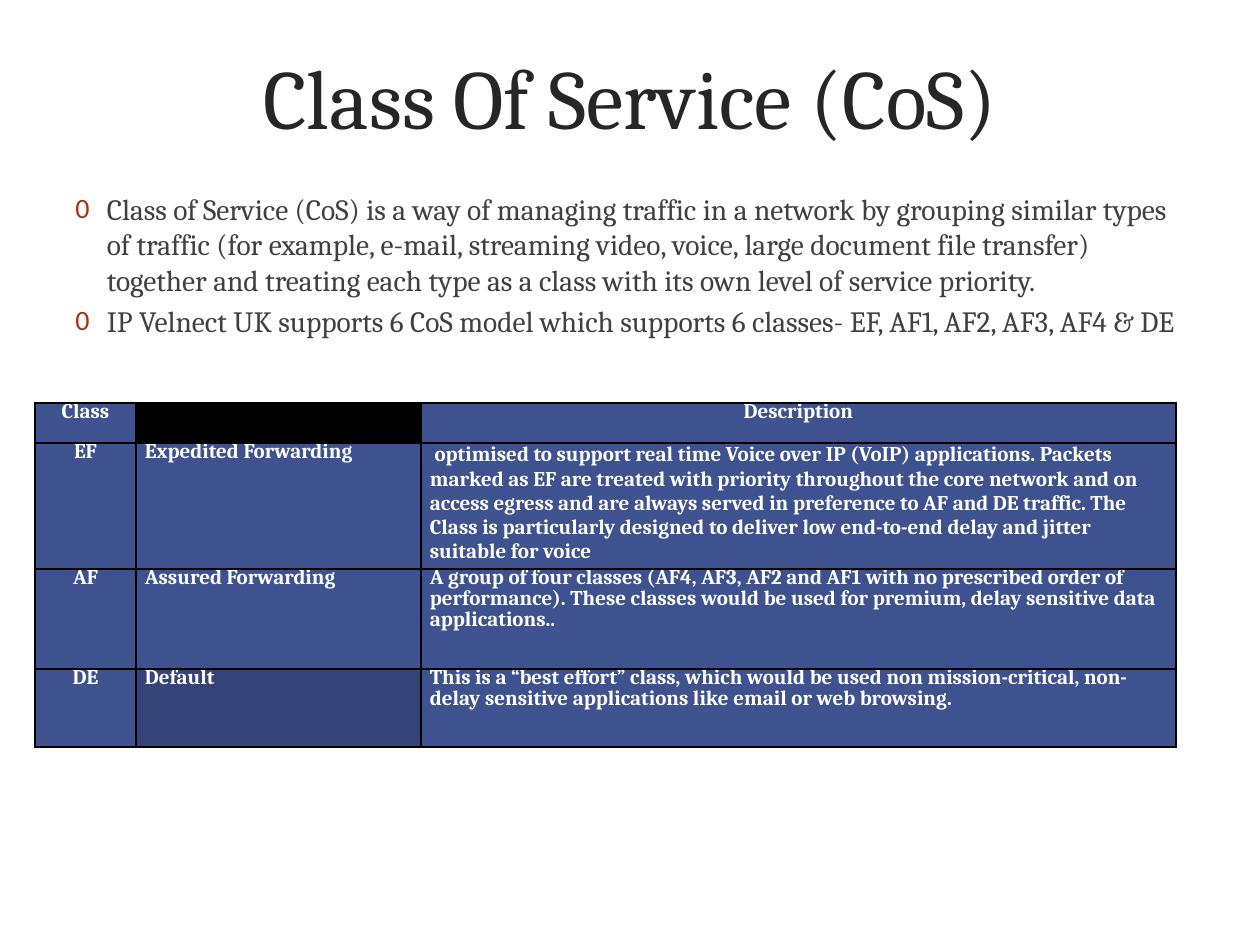
from lxml import etree
from pptx import Presentation
from pptx import util as u
from pptx.dml.color import RGBColor
from pptx.enum import text
from pptx.oxml.ns import qn

PX = 914400 // 126
FONT = "Cambria"
TITLE_INK = RGBColor(0x26, 0x26, 0x26)
BODY_INK = RGBColor(0x40, 0x40, 0x40)
WHITE = RGBColor(0xFF, 0xFF, 0xFF)
BLACK = RGBColor(0x00, 0x00, 0x00)
BLUE = RGBColor(0x3E, 0x52, 0x8F)
NAVY = RGBColor(0x34, 0x44, 0x78)
RUST = RGBColor(0xA6, 0x32, 0x12)
LEFT, CENTER = text.PP_ALIGN.LEFT, text.PP_ALIGN.CENTER


def px(length):
    return u.Emu(length * PX)


def add_node(parent, tag, **attributes):
    return etree.SubElement(parent, qn(tag), attributes)


def add_color(parent, color):
    fill = add_node(parent, "a:solidFill")
    add_node(fill, "a:srgbClr", val=str(color))


class SlideBuilder:
    def __init__(self, slide):
        self.slide = slide

    def span(self, para, words, size, color, bold=False):
        span = para.add_run()
        span.text = words
        span.font.name = FONT
        span.font.size = u.Pt(size)
        span.font.bold = bold
        span.font.color.rgb = color

    def box(self, left, top, width, height):
        box = self.slide.shapes.add_textbox(px(left), px(top), px(width), px(height))
        box.text_frame.word_wrap = True
        return box.text_frame

    def title(self, words, *place):
        frame = self.box(*place)
        frame.vertical_anchor = text.MSO_ANCHOR.MIDDLE
        para = frame.paragraphs[0]
        para.alignment = CENTER
        self.span(para, words, 48, TITLE_INK)

    def bullets(self, items, *place):
        frame = self.box(*place)
        for index, words in enumerate(items):
            para = frame.add_paragraph() if index else frame.paragraphs[0]
            para.space_before = u.Pt(3.4)
            self.bullet(para)
            self.span(para, words, 16.8, BODY_INK)

    def bullet(self, para):
        properties = para._p.get_or_add_pPr()
        indent = u.Inches(0.25)
        properties.set("marL", str(indent))
        properties.set("indent", str(-indent))
        color = add_node(properties, "a:buClr")
        add_node(color, "a:srgbClr", val=str(RUST))
        add_node(properties, "a:buSzPct", val="95000")
        add_node(properties, "a:buFont", typeface="Calibri")
        add_node(properties, "a:buChar", char="0")

    def table(self, left, top, widths, heights, rows, fills):
        frame = self.slide.shapes.add_table(
            len(rows), len(widths), px(left), px(top), px(sum(widths)), px(sum(heights)))
        table = frame.table
        for column, width in zip(table.columns, widths):
            column.width = px(width)
        for row, height in zip(table.rows, heights):
            row.height = px(height)
        for r, (words_row, fill_row) in enumerate(zip(rows, fills)):
            for c, (words, fill) in enumerate(zip(words_row, fill_row)):
                align = CENTER if r == 0 or c == 0 else LEFT
                self.cell(table.cell(r, c), words, fill, align)
        return table

    def cell(self, cell, words, fill, align):
        cell.margin_left = cell.margin_right = px(9)
        cell.margin_top = cell.margin_bottom = 0
        self.borders(cell)
        cell.fill.solid()
        cell.fill.fore_color.rgb = fill
        if words:
            para = cell.text_frame.paragraphs[0]
            para.alignment = align
            para.line_spacing = u.Pt(12)
            self.span(para, words, 12, WHITE, True)

    def borders(self, cell):
        properties = cell._tc.get_or_add_tcPr()
        for side in ("a:lnL", "a:lnR", "a:lnT", "a:lnB"):
            add_color(add_node(properties, side, w=str(u.Pt(1))), BLACK)


def main():
    deck = Presentation()
    deck.slide_width, deck.slide_height = u.Inches(10), u.Inches(7.5)
    page = SlideBuilder(deck.slides.add_slide(deck.slide_layouts[6]))
    page.title("Class Of Service (CoS)", 63, 37, 1134, 117)
    page.bullets([
        "Class of Service (CoS) is a way of managing traffic in a network by grouping "
        "similar types of traffic (for example, e-mail, streaming video, voice, large "
        "document file transfer) together and treating each type as a class with its "
        "own level of service priority.",
        "IP Velnect UK supports 6 CoS model which supports 6 classes- "
        "EF, AF1, AF2, AF3, AF4 & DE",
    ], 63, 185, 1134, 198)
    rows = [
        ("Class", "", "Description"),
        ("EF", "Expedited Forwarding",
         " optimised to support real time Voice over IP (VoIP) applications. Packets "
         "marked as EF are treated with priority throughout the core network and on "
         "access egress and are always served in preference to AF and DE traffic. The "
         "Class is particularly designed to deliver low end-to-end delay and jitter "
         "suitable for voice"),
        ("AF", "Assured Forwarding",
         "A group of four classes (AF4, AF3, AF2 and AF1 with no prescribed order of "
         "performance). These classes would be used for premium, delay sensitive data "
         "applications.."),
        ("DE", "Default",
         "This is a “best effort” class, which would be used non mission-critical, "
         "non-delay sensitive applications like email or web browsing."),
    ]
    fills = [(BLUE, middle, BLUE) for middle in (BLACK, BLUE, BLUE, NAVY)]
    table = page.table(35, 403, [101, 285, 755], [40, 78, 100, 78], rows, fills)
    table.cell(1, 1).text_frame.paragraphs[0].space_before = u.Pt(12)
    table.cell(1, 2).text_frame.paragraphs[0].line_spacing = 1.0
    deck.save("out.pptx")


if __name__ == "__main__":
    main()
